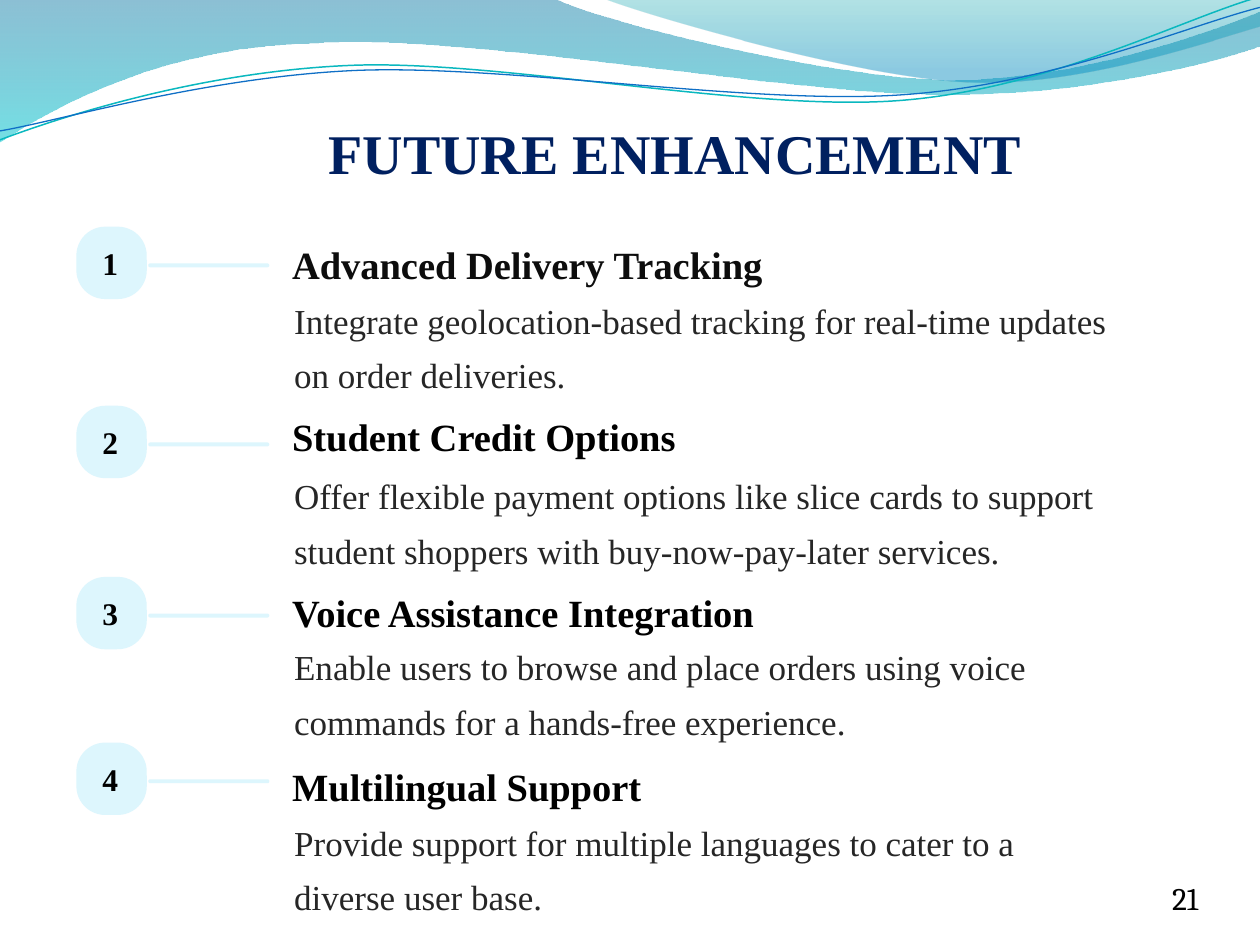
import pptx
import pptx.dml.color
import pptx.enum.shapes
import pptx.enum.text
import pptx.oxml
import pptx.oxml.ns
import pptx.util

Cm = pptx.util.Cm
Pt = pptx.util.Pt
qn = pptx.oxml.ns.qn
ALIGN = pptx.enum.text.PP_ALIGN
ANCHOR = pptx.enum.text.MSO_ANCHOR
ROUNDED = pptx.enum.shapes.MSO_SHAPE.ROUNDED_RECTANGLE
NAMESPACE = pptx.oxml.ns.nsdecls("a")
SERIF = "Times New Roman"
PALE_BLUE = "DDF6FD"

TITLE = "FUTURE ENHANCEMENT"
SLIDE_NUMBER = "21"
ITEMS = [
    {"heading": "Advanced Delivery Tracking", "color": "0D0D0D",
     "body": "Integrate geolocation-based tracking for real-time updates on order deliveries.",
     "tops": (4.57, 4.72, 5.78)},
    {"heading": "Student Credit Options", "color": "000000",
     "body": "Offer flexible payment options like slice cards to support student shoppers "
             "with buy-now-pay-later services.",
     "tops": (8.18, 8.18, 9.31)},
    {"heading": "Voice Assistance Integration", "color": "000000",
     "body": "Enable users to browse and place orders using voice commands "
             "for a hands-free experience.",
     "tops": (11.63, 11.73, 12.76)},
    {"heading": "Multilingual Support", "color": "000000",
     "body": "Provide support for multiple languages to cater to a diverse user base.",
     "tops": (14.97, 15.24, 16.3)},
]

FILLED_WAVES = [
    {"start": (0, 0),
     "segments": [
         [(11.18, -0.03)],
         [(12.09, 0.43), (16.87, 1.6), (19.25, 1.6)],
         [(21.69, 1.6), (24.33, 0.66), (25.4, 0.23)],
         [(25.43, 0.91)],
         [(24.97, 1.12), (22.1, 1.93), (18.95, 1.9)],
         [(15.8, 1.9), (9.7, 0.71), (6.53, 0.86)],
         [(3.28, 0.91), (1.17, 2.11), (-0.03, 2.87)]],
     "stops": [(0, "0074A1", 45), (1, "00C6CF", 55)]},
    {"start": (12.17, -0.03),
     "segments": [
         [(12.93, 0.28), (17.32, 1.57), (19.53, 1.65)],
         [(21.74, 1.75), (24.41, 0.81), (25.4, 0.53)],
         [(25.4, 0)]],
     "stops": [(0, "00A1A9", 30), (0.8, "008BBF", 45)]},
]
WAVE_LINES = [
    {"start": (0, 2.82), "color": "0AB8BF", "width": 0.85,
     "segments": [
         [(1.22, 2.36), (4.01, 1.45), (7.04, 1.32)],
         [(10.03, 1.19), (15.06, 2.26), (18.11, 2.03)],
         [(21.16, 1.8), (23.83, 0.38), (25.35, -0.05)]]},
    {"start": (0, 2.64), "color": "0F6FC6", "width": 0.75,
     "segments": [
         [(1.19, 2.44), (4.17, 1.55), (7.19, 1.42)],
         [(10.24, 1.3), (15.16, 2.13), (18.21, 1.91)],
         [(21.23, 1.7), (23.9, 0.53), (25.4, 0.15)]]},
]


def rgb(value):
    return pptx.dml.color.RGBColor.from_string(value)


def write_text(shape, text, *, size, color="000000", font=SERIF, bold=False,
               align=ALIGN.LEFT, anchor=ANCHOR.TOP, spacing=None, margins=(0, 0, 0, 0)):
    frame = shape.text_frame
    frame.word_wrap = True
    frame.auto_size = pptx.enum.text.MSO_AUTO_SIZE.NONE
    frame.vertical_anchor = anchor
    (frame.margin_left, frame.margin_top,
     frame.margin_right, frame.margin_bottom) = [Cm(margin) for margin in margins]
    paragraph = frame.paragraphs[0]
    paragraph.alignment = align
    if spacing:
        paragraph.line_spacing = Pt(spacing)
    run = paragraph.add_run()
    run.text = text
    run.font.name = font
    run.font.size = Pt(size)
    run.font.bold = bold
    run.font.color.rgb = rgb(color)


def add_text(slide, box, text, **style):
    shape = slide.shapes.add_textbox(*[Cm(length) for length in box])
    write_text(shape, text, **style)


def add_rounded(slide, box, roundness):
    shape = slide.shapes.add_shape(ROUNDED, *[Cm(length) for length in box])
    shape.adjustments[0] = roundness
    shape.shadow.inherit = False
    shape.fill.solid()
    shape.fill.fore_color.rgb = rgb(PALE_BLUE)
    shape.line.fill.background()
    return shape


def add_wave(slide, wave, close):
    vertices = [(Cm(x), Cm(y)) for segment in wave["segments"] for x, y in segment]
    builder = slide.shapes.build_freeform(*[Cm(value) for value in wave["start"]])
    builder.add_line_segments(vertices, close=close)
    shape = builder.convert_to_shape()
    shape.shadow.inherit = False
    steps = iter(list(shape._element.iter(qn("a:lnTo"))))
    for segment in wave["segments"]:
        lines = [next(steps) for point in segment]
        if len(lines) == 3:
            curve = pptx.oxml.parse_xml(f"<a:cubicBezTo {NAMESPACE}/>")
            lines[0].addprevious(curve)
            for line in lines:
                curve.append(line[0])
                line.getparent().remove(line)
    return shape


def fill_gradient(shape, stops):
    shape.fill.gradient()
    shape.fill.gradient_angle = 270
    for stop, (position, color, opacity) in zip(shape.fill.gradient_stops, stops):
        stop.position = position
        stop.color.rgb = rgb(color)
    colors = list(shape._element.spPr.iter(qn("a:srgbClr")))
    for element, (position, color, opacity) in zip(colors, stops):
        element.append(pptx.oxml.parse_xml(f'<a:alpha {NAMESPACE} val="{opacity * 1000}"/>'))


def main():
    presentation = pptx.Presentation()
    presentation.slide_width = Cm(25.4)
    presentation.slide_height = Cm(19.05)
    slide = presentation.slides.add_slide(presentation.slide_layouts[5])

    for wave in FILLED_WAVES:
        shape = add_wave(slide, wave, close=True)
        fill_gradient(shape, wave["stops"])
        shape.line.fill.background()
    for wave in WAVE_LINES:
        shape = add_wave(slide, wave, close=False)
        shape.fill.background()
        shape.line.color.rgb = rgb(wave["color"])
        shape.line.width = Pt(wave["width"])

    title = slide.shapes.title
    title.left, title.top, title.width, title.height = Cm(5.51), Cm(2.26), Cm(16.2), Cm(1.47)
    write_text(title, TITLE, size=32, color="002060", bold=True,
               align=ALIGN.CENTER, margins=(0.25, 0.13, 0.25, 0.13))

    for number, item in enumerate(ITEMS, 1):
        badge_top, heading_top, body_top = item["tops"]
        badge = add_rounded(slide, (1.54, badge_top, 1.42, 1.46), 0.41)
        write_text(badge, str(number), size=18, bold=True, align=ALIGN.CENTER,
                   anchor=ANCHOR.MIDDLE, margins=(0, 0, 0.05, 0))
        add_rounded(slide, (2.99, badge_top + 0.74, 2.44, 0.08), 0.5)
        add_text(slide, (5.89, heading_top, 14.2, 1.02), item["heading"],
                 size=22, color=item["color"], bold=True, spacing=30.6)
        add_text(slide, (5.93, body_top, 16.71, 2.11), item["body"],
                 size=20, color="262626", spacing=31.2)

    add_text(slide, (22.05, 17.73, 2.11, 1.02), SLIDE_NUMBER,
             size=18, font="Cambria", align=ALIGN.RIGHT)
    presentation.save("out.pptx")


if __name__ == "__main__":
    main()
